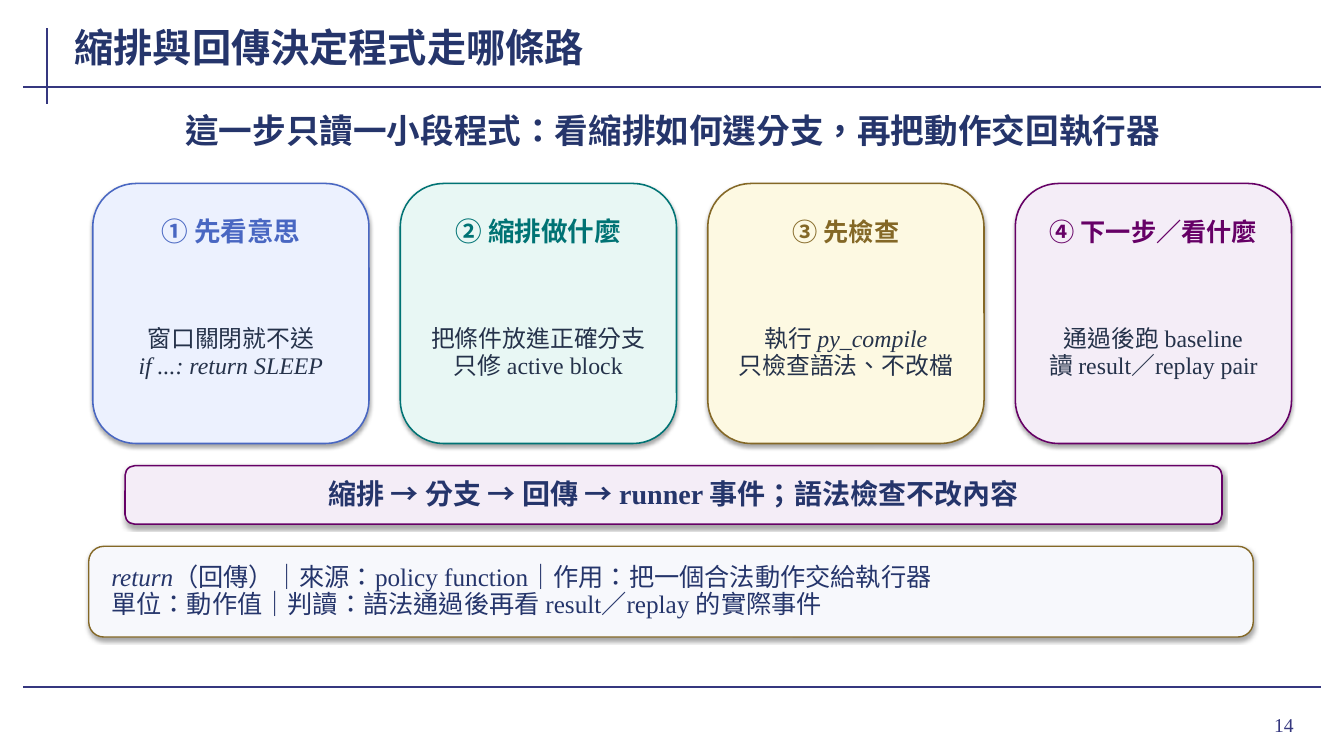
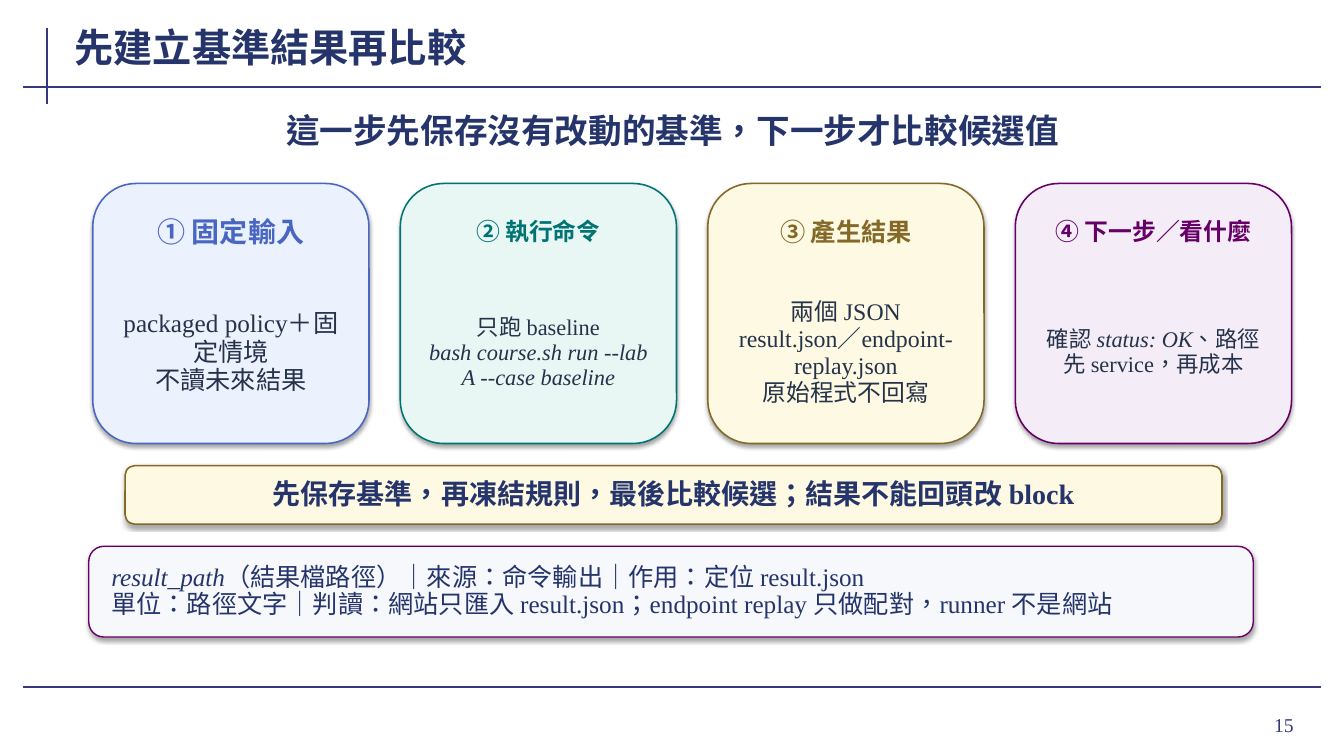
from dataclasses import dataclass
from typing import NamedTuple

from lxml.etree import SubElement
from pptx import Presentation
from pptx.dml.color import RGBColor
from pptx.enum.lang import MSO_LANGUAGE_ID
from pptx.enum.shapes import MSO_CONNECTOR, MSO_SHAPE
from pptx.enum.text import MSO_ANCHOR, MSO_AUTO_SIZE, PP_ALIGN
from pptx.oxml.ns import qn
from pptx.util import Emu, Pt

PX = 9144  # EMU per px, 100 px to the inch


@dataclass(frozen=True)
class Tone:
    fill: str
    line: str


@dataclass(frozen=True)
class Theme:
    font: str = "Times New Roman"
    rule: str = "35377F"
    heading: str = "25356B"
    body: str = "25324A"
    note_fill: str = "F7F8FC"
    blue: Tone = Tone("ECF1FE", "4967C2")
    teal: Tone = Tone("E8F7F4", "007374")
    gold: Tone = Tone("FDF9E2", "846826")
    plum: Tone = Tone("F4EDF7", "660066")
    title_size: int = 28
    lead_size: int = 24
    banner_size: int = 20
    note_size: int = 18
    number_size: int = 14


T = Theme()
CARD_TONES = (T.blue, T.teal, T.gold, T.plum)


class Box(NamedTuple):
    x: int
    y: int
    w: int
    h: int

    def emu(self) -> list[Emu]:
        return [Emu(v * PX) for v in self]


class Card(NamedTuple):
    head: str
    head_size: int
    lines: list[str]
    size: int


class Page(NamedTuple):
    number: int
    title: str
    lead: str
    cards: list[Card]
    banner: str
    banner_tone: Tone
    note: list[str]
    note_line: str


# Page geometry in px
RULES = ((47, 28, 47, 103), (23, 86, 1310, 86), (23, 682, 1310, 682))
TITLE = Box(72, 20, 1035, 53)
LEAD = Box(102, 105, 1130, 52)
CARD = Box(92, 182, 274, 258)
CARD_STEP = 305
BANNER = Box(124, 462, 1088, 58)
NOTE = Box(88, 542, 1155, 90)
NUMBER = Box(1196, 693, 97, 52)


def write(shape, lines: list[str], *, size: int, color: str, bold: bool = False,
          align=PP_ALIGN.CENTER, spacing: float = 1.0,
          inset: tuple[int, int] = (2, 0)) -> None:
    """Fill a shape with one paragraph per line; *stars* mark italics."""
    tf = shape.text_frame
    tf.word_wrap = True
    tf.auto_size = MSO_AUTO_SIZE.NONE
    tf.vertical_anchor = MSO_ANCHOR.MIDDLE
    tf.margin_left = tf.margin_right = Emu(inset[0] * PX)
    tf.margin_top = tf.margin_bottom = Emu(inset[1] * PX)
    for i, line in enumerate(lines):
        p = tf.add_paragraph() if i else tf.paragraphs[0]
        p.alignment = align
        p.line_spacing = spacing
        for j, part in enumerate(line.split("*")):
            if not part:
                continue
            r = p.add_run()
            r.text = part
            r.font.name = T.font
            r.font.size = Pt(size)
            r.font.bold = bold
            r.font.italic = j % 2 == 1
            r.font.color.rgb = RGBColor.from_string(color)
            r.font.language_id = MSO_LANGUAGE_ID.TRADITIONAL_CHINESE


def add_text(s, box: Box, lines: list[str], **fmt) -> None:
    write(s.shapes.add_textbox(*box.emu()), lines, **fmt)


def add_panel(s, box: Box, fill: str, line: str, width: float = 1.1):
    """Rounded panel with a soft shadow straight below."""
    sp = s.shapes.add_shape(MSO_SHAPE.ROUNDED_RECTANGLE, *box.emu())
    sp.fill.solid()
    sp.fill.fore_color.rgb = RGBColor.from_string(fill)
    sp.line.color.rgb = RGBColor.from_string(line)
    sp.line.width = Pt(width)
    sp.shadow.inherit = False
    effects = sp.element.spPr.find(qn("a:effectLst"))
    shadow = SubElement(effects, qn("a:outerShdw"), blurRad=str(Pt(3.1)),
                        dist=str(Pt(1.8)), dir="5400000", rotWithShape="0")
    black = SubElement(shadow, qn("a:srgbClr"), val="000000")
    SubElement(black, qn("a:alpha"), val="35000")
    return sp


def add_rules(s) -> None:
    """Draw the frame lines and hand them to the layout all slides share."""
    for ends in RULES:
        rule = s.shapes.add_connector(MSO_CONNECTOR.STRAIGHT,
                                      *(Emu(v * PX) for v in ends))
        rule.line.color.rgb = RGBColor.from_string(T.rule)
        rule.line.width = Pt(1.5)
        SubElement(rule.element.spPr, qn("a:effectLst"))
        s.slide_layout.shapes.element.append(rule.element)


def add_card(s, i: int, card: Card) -> None:
    tone = CARD_TONES[i]
    x, y, w, h = CARD
    x += i * CARD_STEP
    add_panel(s, Box(x, y, w, h), tone.fill, tone.line)
    add_text(s, Box(x + 16, y + 20, w - 32, 58), [card.head], size=card.head_size,
             color=tone.line, bold=True, spacing=0.92, inset=(3, 1))
    add_text(s, Box(x + 18, y + 98, w - 36, 140), card.lines, size=card.size,
             color=T.body, spacing=0.94, inset=(5, 1))


def add_page(s, page: Page) -> None:
    # Title, lead and page number
    title = s.shapes.title
    title.left, title.top, title.width, title.height = TITLE.emu()
    write(title, [page.title], size=T.title_size, color=T.heading, bold=True,
          align=PP_ALIGN.LEFT)
    add_text(s, LEAD, [page.lead], size=T.lead_size, color=T.heading, bold=True,
             spacing=0.96)
    add_text(s, NUMBER, [str(page.number)], size=T.number_size, color=T.rule,
             align=PP_ALIGN.RIGHT, inset=(10, 5))
    # Four steps
    for i, card in enumerate(page.cards):
        add_card(s, i, card)
    # Summary banner and glossary note
    banner = add_panel(s, BANNER, page.banner_tone.fill, page.banner_tone.line)
    write(banner, [page.banner], size=T.banner_size, color=T.heading, bold=True,
          spacing=0.95, inset=(12, 4))
    note = add_panel(s, NOTE, T.note_fill, page.note_line, 1)
    write(note, page.note, size=T.note_size, color=T.heading,
          align=PP_ALIGN.LEFT, spacing=0.9, inset=(18, 3))


PAGES = [
    Page(
        14, "縮排與回傳決定程式走哪條路",
        "這一步只讀一小段程式：看縮排如何選分支，再把動作交回執行器",
        [
            Card("① 先看意思", 19, ["窗口關閉就不送", "*if ...: return SLEEP*"], 17),
            Card("② 縮排做什麼", 19, ["把條件放進正確分支", "只修 active block"], 17),
            Card("③ 先檢查", 18, ["執行 *py_compile*", "只檢查語法、不改檔"], 17),
            Card("④ 下一步／看什麼", 18,
                 ["通過後跑 baseline", "讀 result／replay pair"], 17),
        ],
        "縮排 → 分支 → 回傳 → runner 事件；語法檢查不改內容", T.plum,
        ["*return*（回傳）｜來源：policy function｜作用：把一個合法動作交給執行器",
         "單位：動作值｜判讀：語法通過後再看 result／replay 的實際事件"],
        T.gold.line,
    ),
    Page(
        15, "先建立基準結果再比較",
        "這一步先保存沒有改動的基準，下一步才比較候選值",
        [
            Card("① 固定輸入", 20, ["packaged policy＋固定情境", "不讀未來結果"], 18),
            Card("② 執行命令", 17,
                 ["只跑 baseline", "*bash course.sh run --lab A --case baseline*"], 16),
            Card("③ 產生結果", 18,
                 ["兩個 JSON", "result.json／endpoint-replay.json", "原始程式不回寫"], 17),
            Card("④ 下一步／看什麼", 17,
                 ["確認 *status: OK*、路徑", "先 service，再成本"], 16),
        ],
        "先保存基準，再凍結規則，最後比較候選；結果不能回頭改 block", T.gold,
        ["*result_path*（結果檔路徑）｜來源：命令輸出｜作用：定位 result.json",
         "單位：路徑文字｜判讀：網站只匯入 result.json；endpoint replay 只做配對，"
         "runner 不是網站"],
        T.plum.line,
    ),
]


def main() -> None:
    prs = Presentation()
    prs.slide_width, prs.slide_height = Emu(1333 * PX), Emu(750 * PX)
    layout = prs.slide_layouts.get_by_name("Title Only")
    for i, page in enumerate(PAGES):
        s = prs.slides.add_slide(layout)
        if i == 0:
            add_rules(s)
        add_page(s, page)
    prs.save("out.pptx")


if __name__ == "__main__":
    main()
